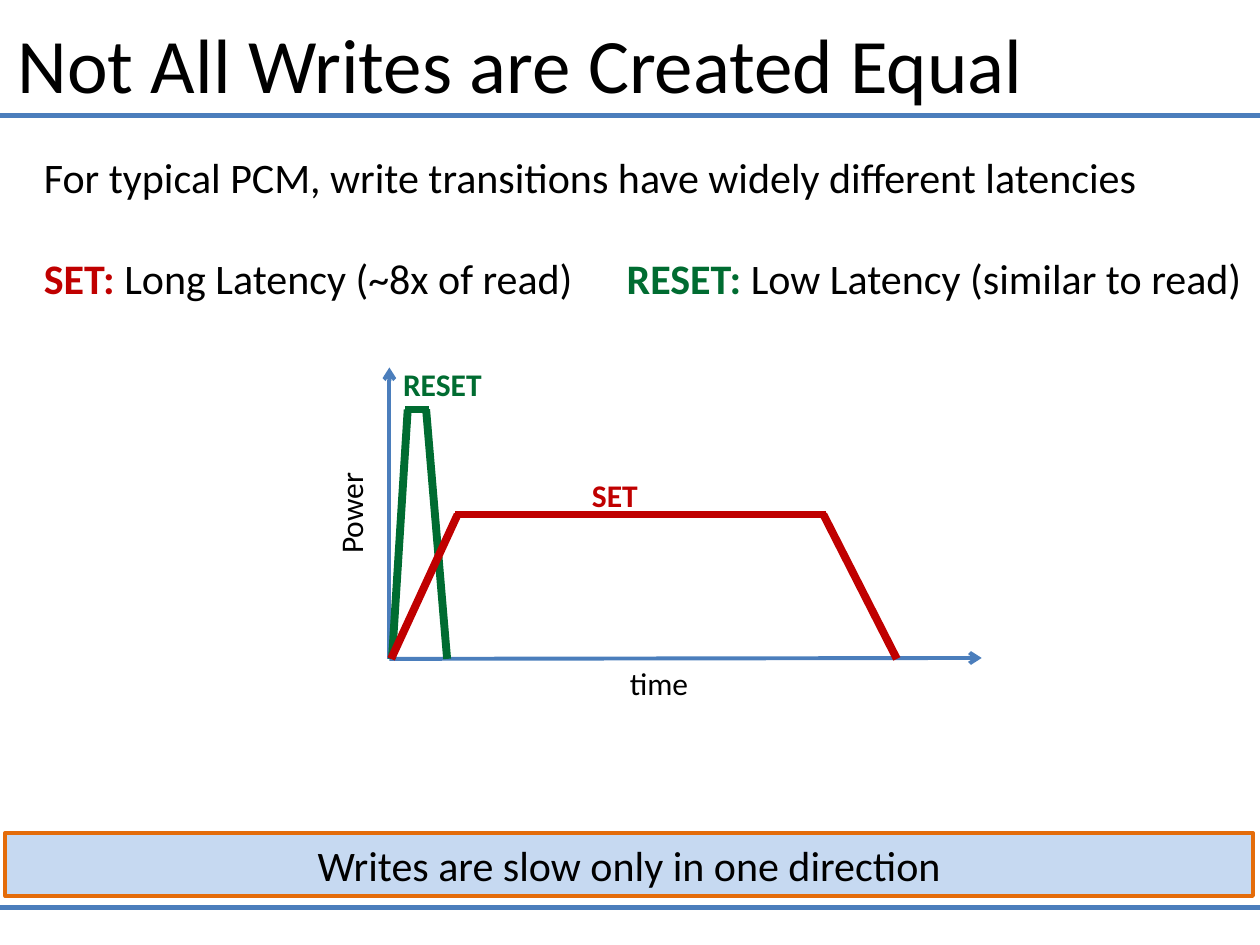
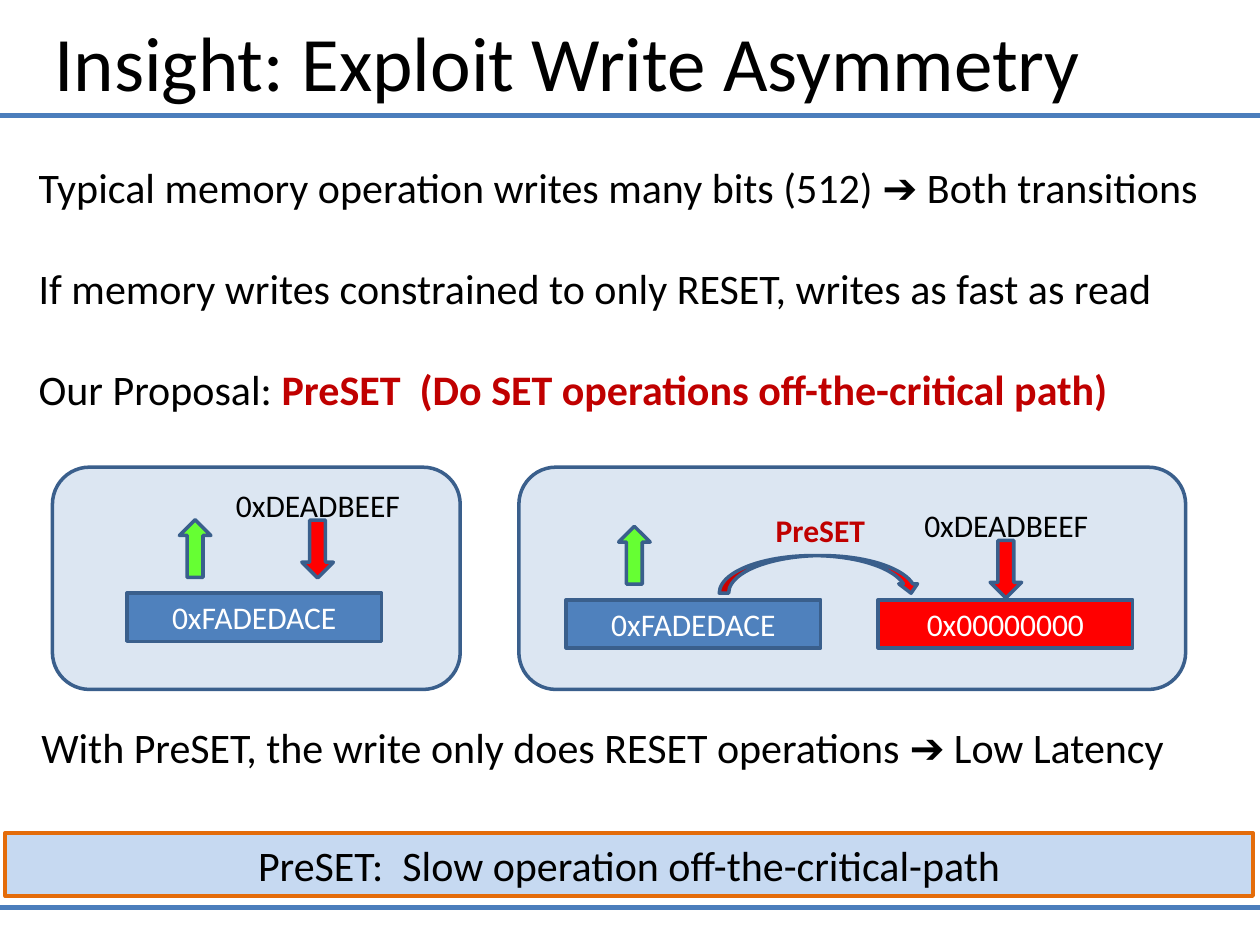
from lxml import etree
from pptx import Presentation
from pptx.dml.color import RGBColor
from pptx.enum import shapes, text
from pptx.oxml import ns
from pptx.util import Pt

FONT = "Calibri"
BLACK, WHITE = "000000", "FFFFFF"
RULE, OUTLINE = "4B7EBC", "3A5F8C"
SET_RED, RESET_GREEN = "C00000", "006C31"
CELL_BLUE, HOT_RED, READ_GREEN = "4F81BD", "FF0000", "66FF33"
PANEL, BANNER, BANNER_EDGE = "DCE6F2", "C6D9F1", "E46C0A"
WIDTH, HEIGHT = 720, 540
SHAPE = shapes.MSO_SHAPE
CENTER = text.PP_ALIGN.CENTER


def rgb(value):
    """Turn a hex string into a colour."""
    return RGBColor.from_string(value)


def style(run, size, colour=BLACK, bold=False):
    """Format one run."""
    run.font.name = FONT
    run.font.size = Pt(size)
    run.font.bold = bold
    run.font.color.rgb = rgb(colour)


def add_line(slide, start, end, colour, width, arrow=False):
    """Draw a straight line, with an optional arrowhead at its end."""
    line = slide.shapes.add_connector(
        shapes.MSO_CONNECTOR.STRAIGHT, *(Pt(v) for v in (*start, *end)))
    line.line.color.rgb = rgb(colour)
    line.line.width = Pt(width)
    if arrow:
        etree.SubElement(line.line._get_or_add_ln(), ns.qn("a:tailEnd"), type="arrow")
    etree.SubElement(line._element.spPr, ns.qn("a:effectLst"))


def add_block(slide, kind, box, fill, edge=OUTLINE, weight=2,
              words=None, size=18, colour=WHITE):
    """Draw a filled preset shape with optional centred text."""
    block = slide.shapes.add_shape(kind, *(Pt(v) for v in box))
    block.shadow.inherit = False
    block.fill.solid()
    block.fill.fore_color.rgb = rgb(fill)
    block.line.color.rgb = rgb(edge)
    block.line.width = Pt(weight)
    if words:
        frame = block.text_frame
        frame.text = words
        frame.vertical_anchor = text.MSO_ANCHOR.MIDDLE
        frame.paragraphs[0].alignment = CENTER
        style(frame.paragraphs[0].runs[0], size, colour)


def add_label(slide, box, words, size=18, colour=BLACK, bold=False,
              align=None, wrap=False, anchor=text.MSO_ANCHOR.TOP, turn=0):
    """Place a single line of text."""
    label = slide.shapes.add_textbox(*(Pt(v) for v in box))
    label.rotation = turn
    frame = label.text_frame
    frame.text = words
    frame.word_wrap = wrap
    frame.vertical_anchor = anchor
    frame.paragraphs[0].alignment = align
    style(frame.paragraphs[0].runs[0], size, colour, bold)


def add_statements(slide, box, statements, tab=None):
    """Stack statements made of (words, colour) pieces; coloured ones are bold."""
    frame = slide.shapes.add_textbox(*(Pt(v) for v in box)).text_frame
    frame.word_wrap = True
    for index, pieces in enumerate(statements):
        statement = frame.add_paragraph() if index else frame.paragraphs[0]
        if index:
            statement.space_before = Pt(29)
        if tab:
            stops = etree.SubElement(statement._p.get_or_add_pPr(), ns.qn("a:tabLst"))
            etree.SubElement(stops, ns.qn("a:tab"), pos=str(Pt(tab)), algn="l")
        for words, colour in pieces:
            run = statement.add_run()
            run.text = words
            style(run, 24, colour, colour != BLACK)


def add_frame(deck, title, title_left, title_top, takeaway):
    """Add a slide with its title, two rules and takeaway banner."""
    slide = deck.slides.add_slide(deck.slide_layouts[6])
    for y in (66, 518.5):
        add_line(slide, (0, y), (WIDTH, y), RULE, 3)
    add_label(slide, (title_left, title_top, 692, 69), title, 44,
              wrap=True, anchor=text.MSO_ANCHOR.MIDDLE)
    add_block(slide, SHAPE.RECTANGLE, (3, 476, 713, 36), BANNER,
              BANNER_EDGE, 2.25, takeaway, 24, BLACK)
    return slide


def add_pulse(slide, corners, base, top, colour):
    """Draw a trapezoid pulse through four x positions."""
    start, rise, fall, end = corners
    add_line(slide, (start, base), (rise, top), colour, 4.5)
    add_line(slide, (end, base), (fall, top), colour, 4.5)
    add_line(slide, (rise - 1.5, top), (fall + 1.5, top), colour, 4.5)


def add_power_plot(slide, left, top, width, height):
    """Sketch power against time for both write pulses."""
    base = top + height
    add_line(slide, (left, base), (left + width, base - 0.5), RULE, 2.25, True)
    add_line(slide, (left, base), (left, top), RULE, 2.25, True)
    pulses = [
        ("RESET", RESET_GREEN, (1.5, 10.5, 21, 33), 24, (0.7, -5, 60, 29)),
        ("SET", SET_RED, (1, 39, 248, 290), 84, (108.7, 58.3, 41, 29)),
    ]
    for name, colour, corners, drop, (dx, dy, w, h) in pulses:
        add_pulse(slide, [left + x for x in corners], base, top + drop, colour)
        add_label(slide, (left + dx, top + dy, w, h), name, colour=colour, bold=True)
    add_label(slide, (left + 130.3, base - 0.7, 48, 29), "time")
    add_label(slide, (left - 52.6, top + 68.5, 61, 29), "Power", turn=270)


def add_cell(slide, left, top, words, fill):
    """Draw a memory cell holding a value."""
    add_block(slide, SHAPE.RECTANGLE, (left, top, 145.5, 27.5), fill, words=words)


def add_read(slide, left, top):
    """Draw the old value with a read arrow above it."""
    add_cell(slide, left, top, "0xFADEDACE", CELL_BLUE)
    add_block(slide, SHAPE.UP_ARROW, (left + 30, top - 42, 18, 33), READ_GREEN)


def add_write(slide, left, top):
    """Draw the incoming value with a write arrow below it."""
    add_block(slide, SHAPE.DOWN_ARROW, (left + 45.3, top + 23, 18, 33), HOT_RED)
    add_label(slide, (left, top, 109, 29), "0xDEADBEEF", align=CENTER)


def add_plain_panel(slide, left, top, width, height):
    """Show a usual write over the old value."""
    add_block(slide, SHAPE.ROUNDED_RECTANGLE, (left, top, width, height), PANEL)
    add_read(slide, left + 42.5, top + 72)
    add_write(slide, left + 97.2, top + 7.3)


def add_preset_panel(slide, left, top, width, height):
    """Show the cell being preset before the write arrives."""
    add_block(slide, SHAPE.ROUNDED_RECTANGLE, (left, top, width, height), PANEL)
    add_read(slide, left + 27, top + 75.8)
    add_cell(slide, left + 205.3, top + 75.8, "0x00000000", HOT_RED)
    add_write(slide, left + 224, top + 18.8)
    add_block(slide, SHAPE.CURVED_DOWN_ARROW, (left + 114.5, top + 50.5, 115, 21.5), HOT_RED)
    add_label(slide, (left + 139.7, top + 21.7, 66, 29), "PreSET",
              colour=SET_RED, bold=True)


def build_latency_slide(deck):
    """Compare SET and RESET latency."""
    slide = add_frame(deck, "Not All Writes are Created Equal", 3, 1.5,
                      "Writes are slow only in one direction")
    add_statements(slide, (18, 83, 702, 94), [
        [("For typical PCM, write transitions have widely different latencies", BLACK)],
        [("SET: ", SET_RED), ("Long Latency (~8x of read)\t", BLACK),
         ("RESET: ", RESET_GREEN), ("Low Latency (similar to read)", BLACK)],
    ], tab=333)
    add_power_plot(slide, 222.5, 210, 338.5, 166.5)


def build_insight_slide(deck):
    """Explain how PreSET exploits the asymmetry."""
    slide = add_frame(deck, "Insight: Exploit Write Asymmetry", 24, 0,
                      "PreSET:  Slow operation off-the-critical-path")
    add_statements(slide, (15, 88.5, 691, 153), [
        [("Typical memory operation writes many bits (512) ➔ Both transitions", BLACK)],
        [("If memory writes constrained to only RESET, writes as fast as read", BLACK)],
        [("Our Proposal: ", BLACK),
         ("PreSET  (Do SET operations off-the-critical path)", SET_RED)],
    ])
    add_plain_panel(slide, 30, 267, 233, 127)
    add_preset_panel(slide, 296.5, 267, 381, 127)
    add_statements(slide, (16.5, 409, 683, 36), [
        [("With PreSET, the write only does RESET operations ➔ Low Latency", BLACK)]])


def main():
    """Build and save the deck."""
    deck = Presentation()
    deck.slide_width, deck.slide_height = Pt(WIDTH), Pt(HEIGHT)
    build_latency_slide(deck)
    build_insight_slide(deck)
    deck.save("out.pptx")


if __name__ == "__main__":
    main()
